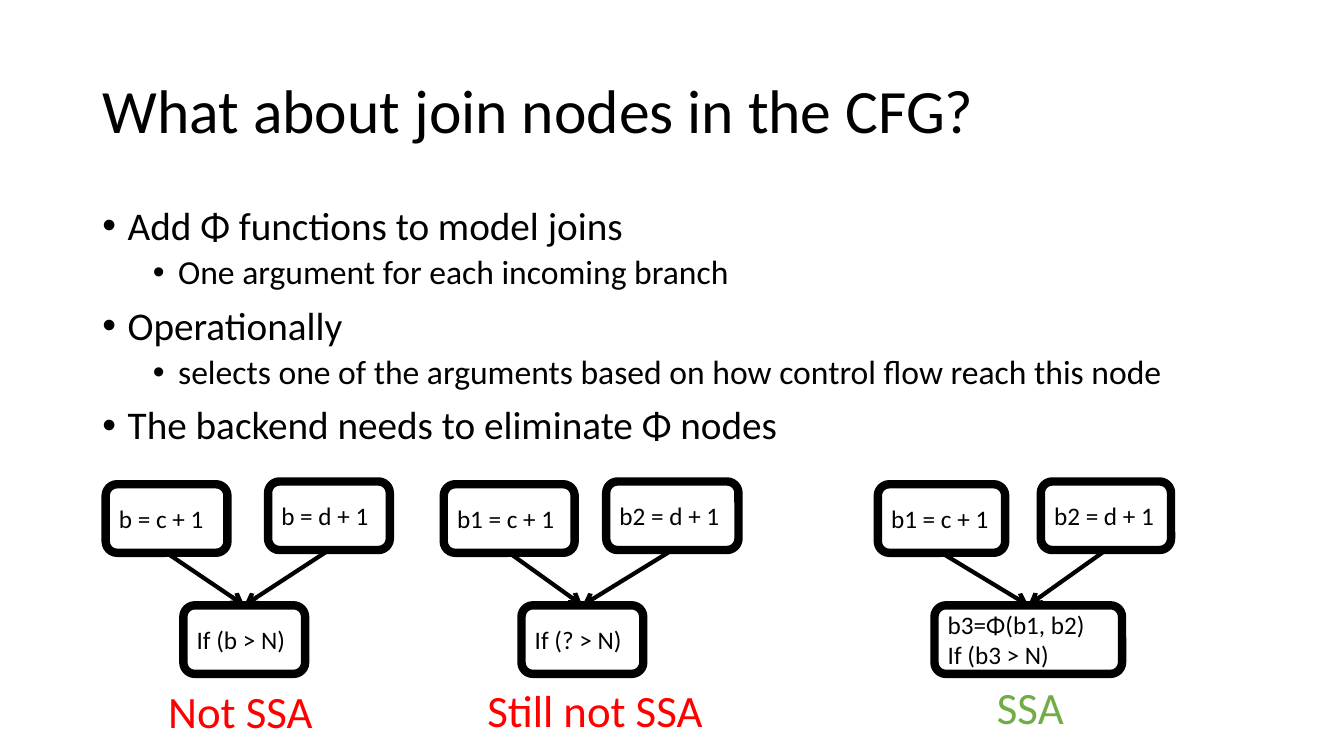
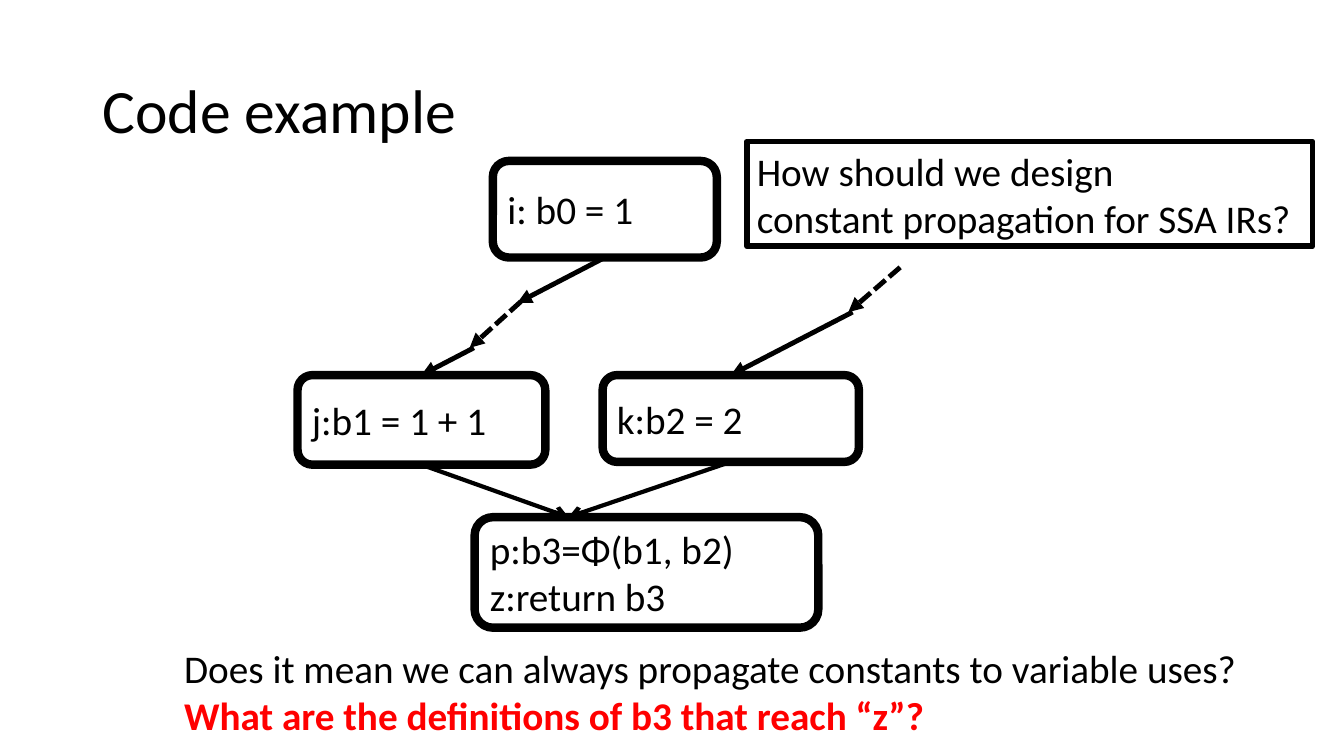
import pptx
import pptx.util
import pptx.oxml
import pptx.oxml.ns
import pptx.dml.color
import pptx.enum.dml
import pptx.enum.shapes
import pptx.enum.text

W, H = 13.33, 7.5
UNIT = W / 96
FONT = "Calibri"
COLORS = {"ink": "000000", "bad": "FF0000", "good": "70AD47"}
MSO = pptx.enum.shapes.MSO_SHAPE
ANCHOR = pptx.enum.text.MSO_ANCHOR
TITLE_BOX = (6.6, 2.9, 82.8, 10.4)


def grid(n):
    return pptx.util.Inches(n * UNIT)


def rgb(name):
    return pptx.dml.color.RGBColor.from_string(COLORS[name])


def shift(box, x, y, *size):
    return (box[0] + x, box[1] + y, *size)


def place(sp, box):
    sp.left, sp.top, sp.width, sp.height = map(grid, box)


def add_xml(parent, tag, **attrs):
    el = pptx.oxml.parse_xml(f"<{tag} {pptx.oxml.ns.nsdecls('a')}/>")
    for key, value in attrs.items():
        el.set(key, str(value))
    parent.append(el)


def write(p, text, size=28, color="ink", bold=False, spacing=None, before=None):
    r = p.add_run()
    r.text = text
    r.font.name = FONT
    r.font.size = pptx.util.Pt(size)
    r.font.bold = bold
    r.font.color.rgb = rgb(color)
    p.alignment = pptx.enum.text.PP_ALIGN.LEFT
    if spacing:
        p.line_spacing = spacing
    if before is not None:
        p.space_before = pptx.util.Pt(before)


def paragraphs(tf, count):
    return [tf.paragraphs[0]] + [tf.add_paragraph() for _ in range(count - 1)]


def fill_text(sp, lines, anchor, wrap, **fmt):
    tf = sp.text_frame
    tf.word_wrap = wrap
    tf.vertical_anchor = anchor
    for p, line in zip(paragraphs(tf, len(lines)), lines):
        write(p, line, **fmt)
    return tf


def title(s, text):
    sp = s.shapes.title
    place(sp, TITLE_BOX)
    tf = fill_text(sp, [text], ANCHOR.MIDDLE, True, size=44, spacing=0.9, before=0)
    tf.auto_size = pptx.enum.text.MSO_AUTO_SIZE.NONE


def bullets(s, box, items):
    sp = s.placeholders[1]
    place(sp, box)
    tf = sp.text_frame
    tf.auto_size = pptx.enum.text.MSO_AUTO_SIZE.NONE
    for p, (level, text) in zip(paragraphs(tf, len(items)), items):
        p.level = level
        write(p, text, size=28 - 4 * level, spacing=0.9, before=10 - 5 * level)
        pr = p._p.get_or_add_pPr()
        pr.set("marL", str(pptx.util.Inches(0.25 + 0.5 * level)))
        pr.set("indent", str(pptx.util.Inches(-0.25)))
        add_xml(pr, "a:buFont", typeface="Arial")
        add_xml(pr, "a:buChar", char="•")


def node(s, box, *lines, size=28, shape=MSO.ROUNDED_RECTANGLE, width=6, wrap=True):
    sp = s.shapes.add_shape(shape, *map(grid, box))
    sp.shadow.inherit = False
    sp.fill.background()
    sp.line.color.rgb = rgb("ink")
    sp.line.width = pptx.util.Pt(width)
    fill_text(sp, lines, ANCHOR.MIDDLE, wrap, size=size)
    return sp


def label(s, box, text, **fmt):
    sp = s.shapes.add_textbox(*map(grid, box))
    return fill_text(sp, [text], ANCHOR.TOP, False, **fmt)


def arrow(s, start, end, head="arrow", width=3, dashed=False):
    points = [n if isinstance(n, tuple) else (0, 0) for n in (start, end)]
    c = s.shapes.add_connector(
        pptx.enum.shapes.MSO_CONNECTOR.STRAIGHT,
        *[grid(n) for point in points for n in point])
    if not isinstance(start, tuple):
        c.begin_connect(start, 2)
    if not isinstance(end, tuple):
        c.end_connect(end, 0)
    c.line.color.rgb = rgb("ink")
    c.line.width = pptx.util.Pt(width)
    if dashed:
        c.line.dash_style = pptx.enum.dml.MSO_LINE.SQUARE_DOT
    add_xml(c.line._get_or_add_ln(), "a:tailEnd", type=head)
    add_xml(c._element.spPr, "a:effectLst")


def join_diagram(s, box, left, right, join, verdict):
    left_w, left_text = left
    right_x, right_w, right_text = right
    join_x, join_w, join_lines = join
    label_x, label_y, label_w, label_text, color = verdict
    target = node(s, shift(box, join_x, 8.85, join_w, 4.9), *join_lines, size=18)
    sources = [
        node(s, shift(box, 0, 0.2, left_w, 4.9), left_text, size=18),
        node(s, shift(box, right_x, 0, right_w, 4.9), right_text, size=18),
    ]
    for source in sources:
        arrow(s, source, target)
    label(s, shift(box, label_x, label_y, label_w, 4.6), label_text, size=32, color=color)


def code_flow(s, box):
    i = node(s, shift(box, 13.95, 0, 16, 6.9), "i: b0 = 1")
    j = node(s, shift(box, 0, 15.3, 17.7, 6.4), "j:b1 = 1 + 1")
    k = node(s, shift(box, 21.8, 15.3, 18.3, 6.2), "k:b2 = 2")
    node(s, shift(box, 12.65, 25.45, 24.55, 7.9), "p:b3=Φ(b1, b2)", "z:return b3")
    merge = shift(box, 19.35, 25.45)
    for source in (j, k):
        arrow(s, source, merge)
    steps = [
        (i, shift(box, 15.7, 10.15), False),
        (shift(box, 15.95, 10.05), shift(box, 12.3, 13.35), True),
        (shift(box, 12.6, 13.35), j, False),
        (shift(box, 43.05, 7.6), shift(box, 39.35, 10.8), True),
        (shift(box, 39.65, 10.8), k, False),
    ]
    for start, end, dashed in steps:
        arrow(s, start, end, head="triangle", width=3.5, dashed=dashed)


def join_slide(prs):
    s = prs.slides.add_slide(prs.slide_layouts[1])
    title(s, "What about join nodes in the CFG?")
    bullets(s, (6.6, 14.4, 82.8, 19.8), [
        (0, "Add Φ functions to model joins"),
        (1, "One argument for each incoming branch"),
        (0, "Operationally"),
        (1, "selects one of the arguments based on how control flow reach this node"),
        (0, "The backend needs to eliminate Φ nodes"),
    ])
    top = 34.4
    join_diagram(s, (7.55, top), (8.7, "b = c + 1"), (11.6, 8.7, "b = d + 1"),
                 (5.55, 8.7, ["If (b > N)"]), (3.75, 14.1, 11.9, "Not SSA", "bad"))
    join_diagram(s, (31.7, top), (9.35, "b1 = c + 1"), (11.6, 9.45, "b2 = d + 1"),
                 (5.55, 8.7, ["If (? > N)"]), (2.4, 14, 17, "Still not SSA", "bad"))
    join_diagram(s, (62.7, top), (9.1, "b1 = c + 1"), (11.65, 9.3, "b2 = d + 1"),
                 (4.05, 13.4, ["b3=Φ(b1, b2)", "If (b3 > N)"]),
                 (7.8, 13.8, 6.25, "SSA", "good"))


def code_slide(prs):
    s = prs.slides.add_slide(prs.slide_layouts[5])
    title(s, "Code example")
    code_flow(s, (21.25, 11.5))
    node(s, (53.35, 10.1, 40.4, 7.5), "How should we design",
         "constant propagation for SSA IRs?", shape=MSO.RECTANGLE, width=4, wrap=False)
    tf = label(s, (12.45, 45.65, 77.4, 7.5),
               "Does it mean we can always propagate constants to variable uses?")
    write(tf.add_paragraph(), "What are the definitions of b3 that reach “z”?",
          color="bad", bold=True)


def main():
    prs = pptx.Presentation()
    prs.slide_width = pptx.util.Inches(W)
    prs.slide_height = pptx.util.Inches(H)
    join_slide(prs)
    code_slide(prs)
    prs.save("out.pptx")


if __name__ == "__main__":
    main()
